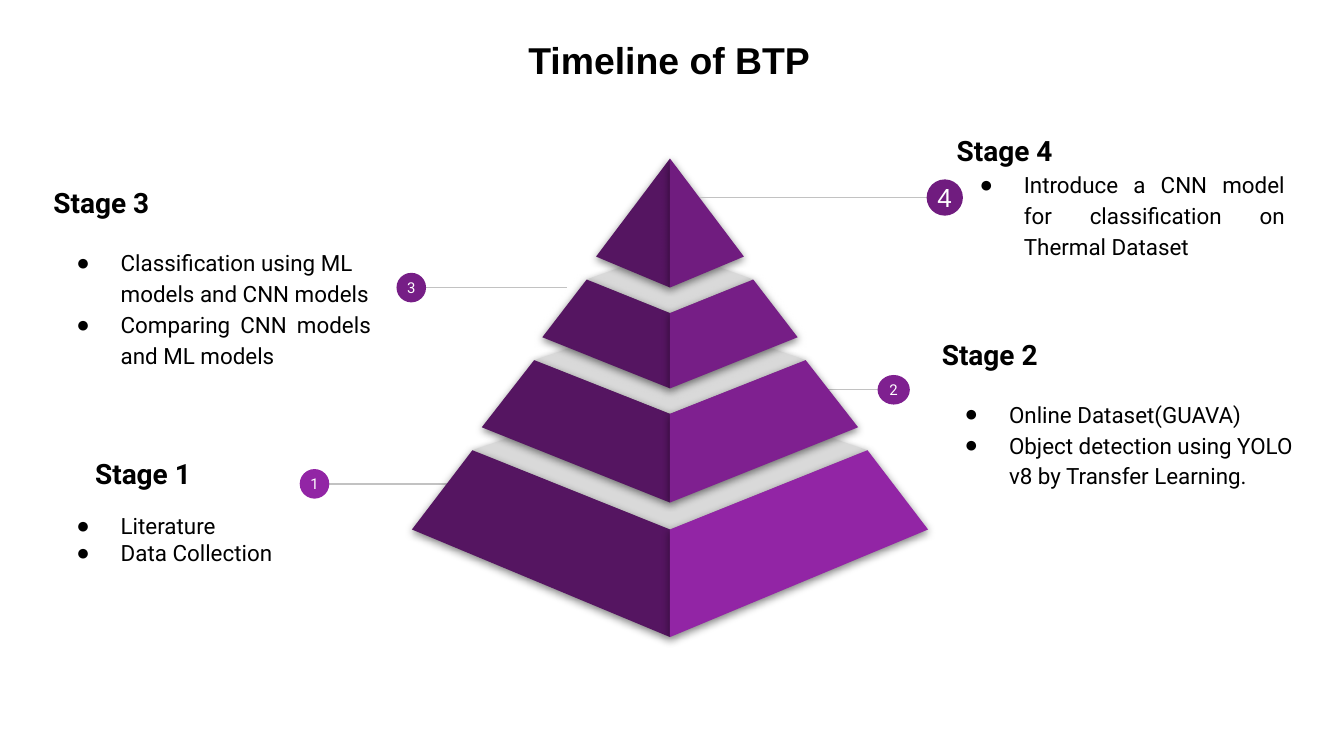
import pptx
import pptx.dml.color
import pptx.enum.shapes
import pptx.enum.text
import pptx.oxml
import pptx.oxml.ns
import pptx.util
from pptx.util import Inches

ALIGN = pptx.enum.text.PP_ALIGN
ANCHOR = pptx.enum.text.MSO_ANCHOR
NS = pptx.oxml.ns.nsdecls("a")
AXIS = 4.985
SHADED_SIDE = "551561"
LEDGE = "D9D9D9"

# Half width, side y and front y of each tier's top and bottom edge,
# the y of its back corner, and the colour of its lit side; bottom tier first.
TIERS = [
    ((1.47, 3.35, 3.94), (1.92, 3.94, 4.74), 2.85, "9225A5"),
    ((1.01, 2.68, 3.08), (1.40, 3.18, 3.74), 2.34, "7F2090"),
    ((0.62, 2.08, 2.33), (0.95, 2.51, 2.89), 1.86, "761E86"),
    ((0.00, 1.18, 1.18), (0.55, 1.91, 2.14), None, "701C7F"),
]

# Per stage: text box, bullets with alignment, text options,
# marker centre, marker size, number size, x where the line starts.
STAGES = [
    ((0.3, 3.23, 1.84, 1.15),
     [("Literature", ALIGN.LEFT), ("Data Collection", ALIGN.LEFT)],
     dict(gap=11.7, spacing=1.0, heading_indent=0.31),
     (2.34, 3.6), (0.22, 0.22), 8, 3.5),
    ((6.91, 2.5, 2.96, 1.15),
     [("Online Dataset(GUAVA)", ALIGN.JUSTIFY),
      ("Object detection using YOLO v8 by Transfer Learning.", ALIGN.LEFT)],
     dict(gap=14),
     (6.65, 2.9), (0.24, 0.22), 8, 5.84),
    ((0.3, 1.56, 2.56, 1.15),
     [("Classification using ML models and CNN models", ALIGN.LEFT),
      ("Comparing CNN models and ML models", ALIGN.JUSTIFY)],
     dict(gap=14, bottom_inset=0.24),
     (3.06, 2.14), (0.22, 0.22), 8, 4.22),
    ((7.02, 0.89, 2.64, 1.15),
     [("Introduce a CNN model for classification on Thermal Dataset",
       ALIGN.JUSTIFY)],
     dict(),
     (7.03, 1.47), (0.27, 0.27), 14, 5.21),
]


def rgb(value):
    return pptx.dml.color.RGBColor.from_string(value)


class Deck:
    def __init__(self, slide, font="Roboto", ink="000000", line="C2C2C2"):
        self.slide = slide
        self.font, self.ink, self.line_colour = font, ink, line

    def style(self, paragraph, size, bold=False, colour=None, font=None):
        for run in paragraph.runs:
            run.font.size = pptx.util.Pt(size)
            run.font.bold = bold
            run.font.name = font or self.font
            run.font.color.rgb = rgb(colour or self.ink)

    def title(self, text):
        heading = self.slide.shapes.title
        heading.left, heading.top = Inches(0.86), Inches(0.17)
        heading.width, heading.height = Inches(8.24), Inches(0.54)
        frame = heading.text_frame
        frame.text = text
        frame.vertical_anchor = ANCHOR.MIDDLE
        frame.paragraphs[0].alignment = ALIGN.CENTER
        self.style(frame.paragraphs[0], 20, True, font="Arial")

    def bullet(self, paragraph):
        properties = paragraph._p.get_or_add_pPr()
        properties.set("marL", str(Inches(0.5)))
        properties.set("indent", str(Inches(-0.33)))
        for xml in (
            f'<a:buClr {NS}><a:srgbClr val="{self.ink}"/></a:buClr>',
            f'<a:buSzPts {NS} val="1200"/>',
            f'<a:buFont {NS} typeface="Arial"/>',
            f'<a:buChar {NS} char="●"/>',
        ):
            properties.append(pptx.oxml.parse_xml(xml))

    def stage_text(self, box, name, bullets, gap=0, spacing=1.15,
                   heading_indent=0, bottom_inset=0.1):
        frame = self.slide.shapes.add_textbox(*map(Inches, box)).text_frame
        frame.word_wrap = True
        frame.vertical_anchor = ANCHOR.MIDDLE
        frame.margin_left = frame.margin_right = frame.margin_top = Inches(0.1)
        frame.margin_bottom = Inches(bottom_inset)
        frame.text = name
        heading = frame.paragraphs[0]
        heading._p.get_or_add_pPr().set("marL", str(Inches(heading_indent)))
        self.style(heading, 15, True)
        for index, (text, alignment) in enumerate(bullets):
            item = frame.add_paragraph()
            item.text = text
            self.bullet(item)
            item.alignment = alignment
            item.line_spacing = spacing
            if index == 0:
                item.space_before = pptx.util.Pt(gap)
            self.style(item, 12)

    def line(self, start_x, end_x, y):
        leader = self.slide.shapes.add_connector(
            pptx.enum.shapes.MSO_CONNECTOR.STRAIGHT,
            Inches(start_x), Inches(y), Inches(end_x), Inches(y))
        leader.line.color.rgb = rgb(self.line_colour)
        leader.line.width = pptx.util.Pt(0.75)
        leader._element.spPr.append(
            pptx.oxml.parse_xml(f"<a:effectLst {NS}/>"))

    def marker(self, centre, size, number, text_size, colour):
        (x, y), (width, height) = centre, size
        disc = self.slide.shapes.add_shape(
            pptx.enum.shapes.MSO_SHAPE.OVAL, Inches(x - width / 2),
            Inches(y - height / 2), Inches(width), Inches(height))
        disc.shadow.inherit = False
        disc.fill.solid()
        disc.fill.fore_color.rgb = rgb(colour)
        disc.line.fill.background()
        frame = disc.text_frame
        frame.word_wrap = False
        frame.margin_left = frame.margin_right = 0
        frame.margin_top = frame.margin_bottom = 0
        frame.vertical_anchor = ANCHOR.MIDDLE
        frame.text = number
        frame.paragraphs[0].alignment = ALIGN.CENTER
        self.style(frame.paragraphs[0], text_size, colour="FFFFFF",
                   font="Arial" if text_size > 8 else None)

    def face(self, corners, colour):
        """Draw one shadowed polygon of the pyramid."""
        points = [(Inches(x), Inches(y)) for x, y in corners]
        builder = self.slide.shapes.build_freeform(*points[0])
        builder.add_line_segments(points[1:], close=True)
        side = builder.convert_to_shape()
        side.fill.solid()
        side.fill.fore_color.rgb = rgb(colour)
        side.line.fill.background()
        side._element.spPr.append(pptx.oxml.parse_xml(
            f'<a:effectLst {NS}><a:outerShdw blurRad="57150" dist="19050" '
            'dir="5400000" algn="bl" rotWithShape="0"><a:srgbClr val="000000">'
            '<a:alpha val="50000"/></a:srgbClr></a:outerShdw></a:effectLst>'))

    def pyramid(self):
        for (half, side_y, front_y), _, back_y, _ in TIERS:
            if back_y is not None:
                self.face([(AXIS - half, side_y), (AXIS, front_y),
                           (AXIS + half, side_y), (AXIS, back_y)], LEDGE)
        for top, bottom, _, lit_side in TIERS:
            for direction, colour in ((-1, SHADED_SIDE), (1, lit_side)):
                corners = [(AXIS + direction * top[0], top[1]),
                           (AXIS + direction * bottom[0], bottom[1]),
                           (AXIS, bottom[2])]
                if top[0]:
                    corners.append((AXIS, top[2]))
                self.face(corners, colour)

    def stage(self, number):
        box, bullets, options, centre, size, text_size, start = STAGES[number - 1]
        self.stage_text(box, f"Stage {number}", bullets, **options)
        self.line(start, *centre)
        self.marker(centre, size, str(number), text_size, TIERS[number - 1][3])


def main():
    presentation = pptx.Presentation()
    presentation.slide_width = Inches(10)
    presentation.slide_height = Inches(10) * 9 // 16
    deck = Deck(presentation.slides.add_slide(presentation.slide_layouts[5]))
    deck.title("Timeline of BTP")
    deck.stage(2)
    deck.stage(1)
    deck.pyramid()
    deck.stage(3)
    deck.stage(4)
    presentation.save("out.pptx")


if __name__ == "__main__":
    main()
